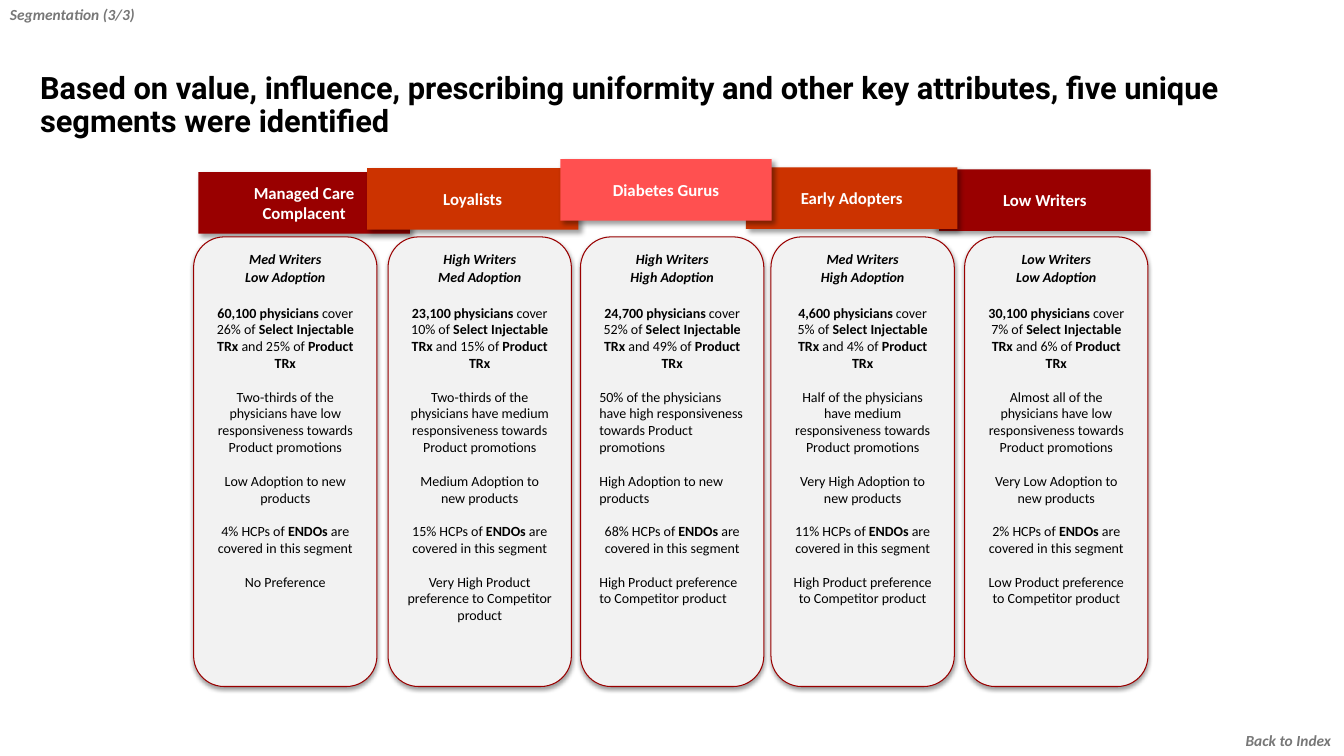
import lxml.etree
import pptx
import pptx.dml.color
import pptx.enum.shapes
import pptx.enum.text
import pptx.oxml.ns
import pptx.util

Cm, Pt = pptx.util.Cm, pptx.util.Pt
RGBColor = pptx.dml.color.RGBColor
MSO_SHAPE = pptx.enum.shapes.MSO_SHAPE
MSO_ANCHOR = pptx.enum.text.MSO_ANCHOR
PP_ALIGN = pptx.enum.text.PP_ALIGN
qn = pptx.oxml.ns.qn

DARK_RED = RGBColor(0x99, 0x00, 0x00)
ORANGE = RGBColor(0xCC, 0x33, 0x00)
CORAL = RGBColor(0xFF, 0x50, 0x50)
LIGHT_GREY = RGBColor(0xF2, 0xF2, 0xF2)
GREY = RGBColor(0x77, 0x77, 0x77)
WHITE = RGBColor(0xFF, 0xFF, 0xFF)
BLACK = RGBColor(0x00, 0x00, 0x00)

BANNERS = [
    (5.0, 4.34, DARK_RED, ["Managed Care", "Complacent"]),
    (23.67, 4.27, DARK_RED, ["Low Writers"]),
    (18.8, 4.22, ORANGE, ["Early Adopters"]),
    (9.25, 4.24, ORANGE, ["Loyalists"]),
    (14.12, 4.01, CORAL, ["Diabetes Gurus"]),
]

SEGMENTS = [
    (4.88, "Med", "Low", "60,100", 26, 25, "Two-thirds of the physicians have low",
     "Low", 4, "No Preference", PP_ALIGN.CENTER),
    (9.78, "High", "Med", "23,100", 10, 15, "Two-thirds of the physicians have medium",
     "Medium", 15, "Very High Product preference to Competitor product", PP_ALIGN.CENTER),
    (14.63, "High", "High", "24,700", 52, 49, "50% of the physicians have high",
     "High", 68, "High Product preference to Competitor product", PP_ALIGN.LEFT),
    (19.43, "Med", "High", "4,600", 5, 4, "Half of the physicians have medium",
     "Very High", 11, "High Product preference to Competitor product", PP_ALIGN.CENTER),
    (24.31, "Low", "Low", "30,100", 7, 6, "Almost all of the physicians have low",
     "Very Low", 2, "Low Product preference to Competitor product", PP_ALIGN.CENTER),
]


def add_box(slide, kind, box, fill):
    """Add a filled shape without line or shadow."""
    sp = slide.shapes.add_shape(kind, *[Cm(v) for v in box])
    sp.shadow.inherit = False
    sp.fill.solid()
    sp.fill.fore_color.rgb = fill
    sp.line.fill.background()
    sp.text_frame.word_wrap = True
    return sp


def add_shadow(sp, alpha, blur, dist, angle):
    """Give a shape a soft black outer shadow."""
    effects = sp._element.spPr.find(qn("a:effectLst"))
    shadow = lxml.etree.SubElement(
        effects, qn("a:outerShdw"), blurRad=str(Pt(blur)), dist=str(Pt(dist)),
        dir=str(angle * 60000), algn="ctr", rotWithShape="0")
    color = lxml.etree.SubElement(shadow, qn("a:srgbClr"), val="000000")
    lxml.etree.SubElement(color, qn("a:alpha"), val=str(alpha * 1000))


def add_paragraph(tf, runs, size, color, align=PP_ALIGN.CENTER, before=0, italic=False, font="Calibri"):
    """Add a paragraph of (text, bold) runs, using the empty first one if free."""
    p = tf.paragraphs[0]
    if p.runs:
        p = tf.add_paragraph()
    p.alignment = align
    if before:
        p.space_before = Pt(before)
    for text, bold in runs:
        r = p.add_run()
        r.text = text
        r.font.name = font
        r.font.size = Pt(size)
        r.font.bold = bold
        r.font.italic = italic
        r.font.color.rgb = color
    return p


def add_banner(slide, left, top, fill, lines):
    """Draw the coloured name plate of a segment."""
    sp = add_box(slide, MSO_SHAPE.RECTANGLE, (left, top, 5.33, 1.55), fill)
    add_shadow(sp, 40, 4, 3, 135 if lines == ["Low Writers"] else 45)
    sp.text_frame.vertical_anchor = MSO_ANCHOR.MIDDLE
    for line in lines:
        add_paragraph(sp.text_frame, [(line, True)], 12, WHITE)


def add_card(slide, left, writers, adoption, physicians, injectable, product,
             response, new_products, endos, preference, align):
    """Draw the rounded card that describes a segment."""
    sp = add_box(slide, MSO_SHAPE.FLOWCHART_ALTERNATE_PROCESS,
                 (left, 5.97, 4.62, 11.33), LIGHT_GREY)
    sp.line.color.rgb = DARK_RED
    sp.line.width = Pt(0.75)
    add_shadow(sp, 38, 3.1, 1.6, 90)
    tf = sp.text_frame
    tf.vertical_anchor = MSO_ANCHOR.TOP
    add_paragraph(tf, [(f"{writers} Writers", True)], 10, BLACK, italic=True)
    add_paragraph(tf, [(f"{adoption} Adoption", True)], 10, BLACK, before=1, italic=True)
    coverage = [(f"{physicians} physicians ", True), (f"cover {injectable}% of ", False),
                ("Select Injectable TRx", True), (f" and {product}% of ", False),
                ("Product TRx", True)]
    add_paragraph(tf, coverage, 10, BLACK, before=13)
    centre = PP_ALIGN.CENTER
    details = [
        ([(f"{response} responsiveness towards Product promotions", False)], align),
        ([(f"{new_products} Adoption to new products", False)], align),
        ([(f"{endos}% HCPs of ", False), ("ENDOs ", True),
          ("are covered in this segment", False)], centre),
        ([(preference, False)], align),
    ]
    for runs, side in details:
        add_paragraph(tf, runs, 10, BLACK, side, before=12)


def add_title(slide, left, top, width, height):
    """Write the slide headline."""
    sp = slide.shapes.add_textbox(Cm(left), Cm(top), Cm(width), Cm(height))
    tf = sp.text_frame
    tf.word_wrap = True
    tf.vertical_anchor = MSO_ANCHOR.MIDDLE
    headline = ("Based on value, influence, prescribing uniformity and other key attributes, "
                "five unique segments were identified")
    p = add_paragraph(tf, [(headline, True)], 22, BLACK, PP_ALIGN.LEFT, font="Roboto")
    p.line_spacing = 0.9


def add_corner_label(slide, left, top, width, height, text):
    """Write a small grey label in a corner of the slide."""
    sp = add_box(slide, MSO_SHAPE.RECTANGLE, (left, top, width, height), WHITE)
    sp.text_frame.margin_right = 0
    sp.text_frame.vertical_anchor = MSO_ANCHOR.TOP
    add_paragraph(sp.text_frame, [(text, True)], 11, GREY, PP_ALIGN.LEFT, italic=True)


def main():
    """Build the segmentation slide and save it."""
    prs = pptx.Presentation()
    prs.slide_width, prs.slide_height = Cm(33.87), Cm(19.05)
    slide = prs.slides.add_slide(prs.slide_layouts[6])
    for banner in BANNERS:
        add_banner(slide, *banner)
    for segment in SEGMENTS:
        add_card(slide, *segment)
    add_title(slide, 0.76, 0.84, 32.44, 3.68)
    add_corner_label(slide, 0, 0, 3.68, 0.74, "Segmentation (3/3)")
    add_corner_label(slide, 31.14, 18.31, 2.72, 0.74, "Back to Index")
    prs.save("out.pptx")


if __name__ == "__main__":
    main()
